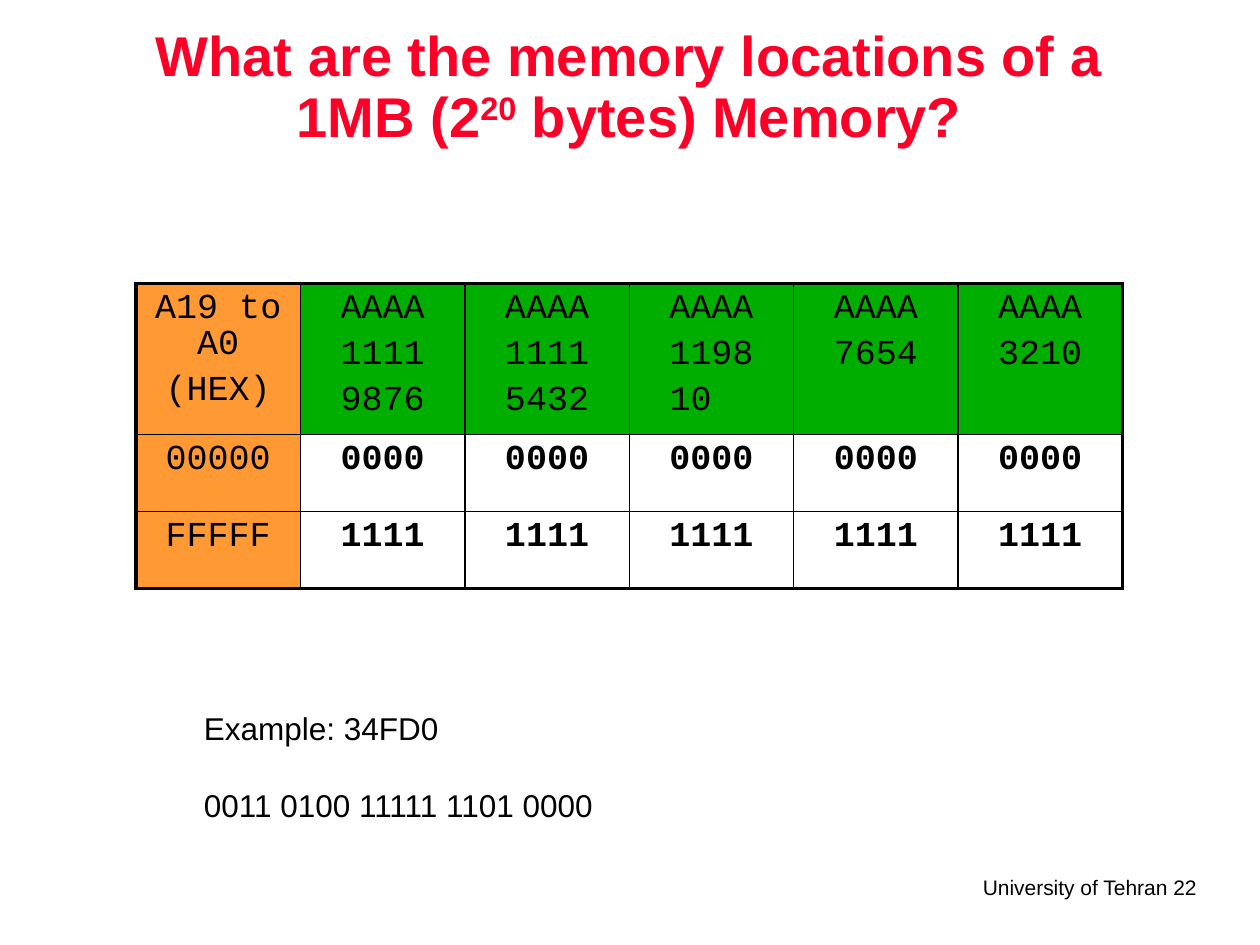
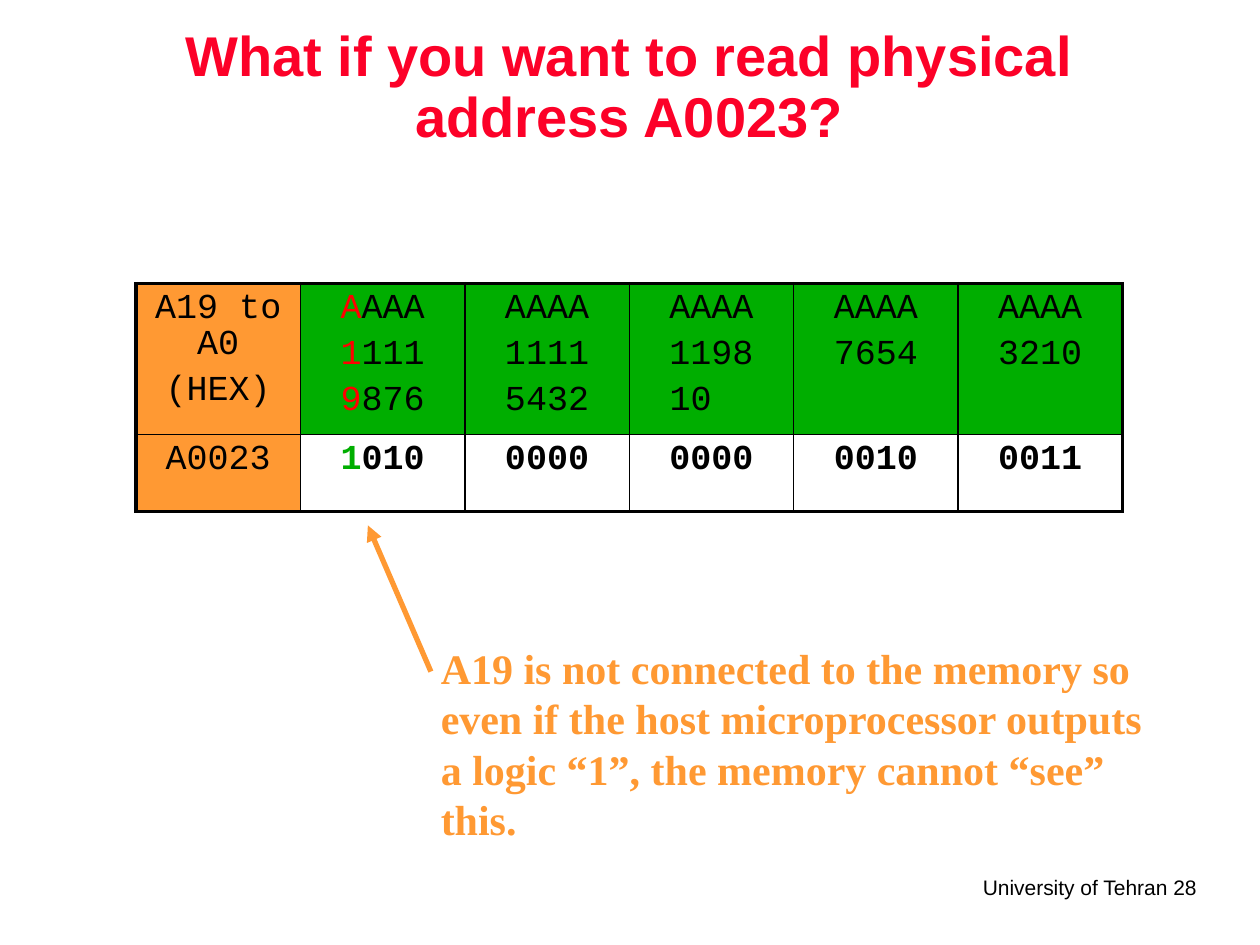
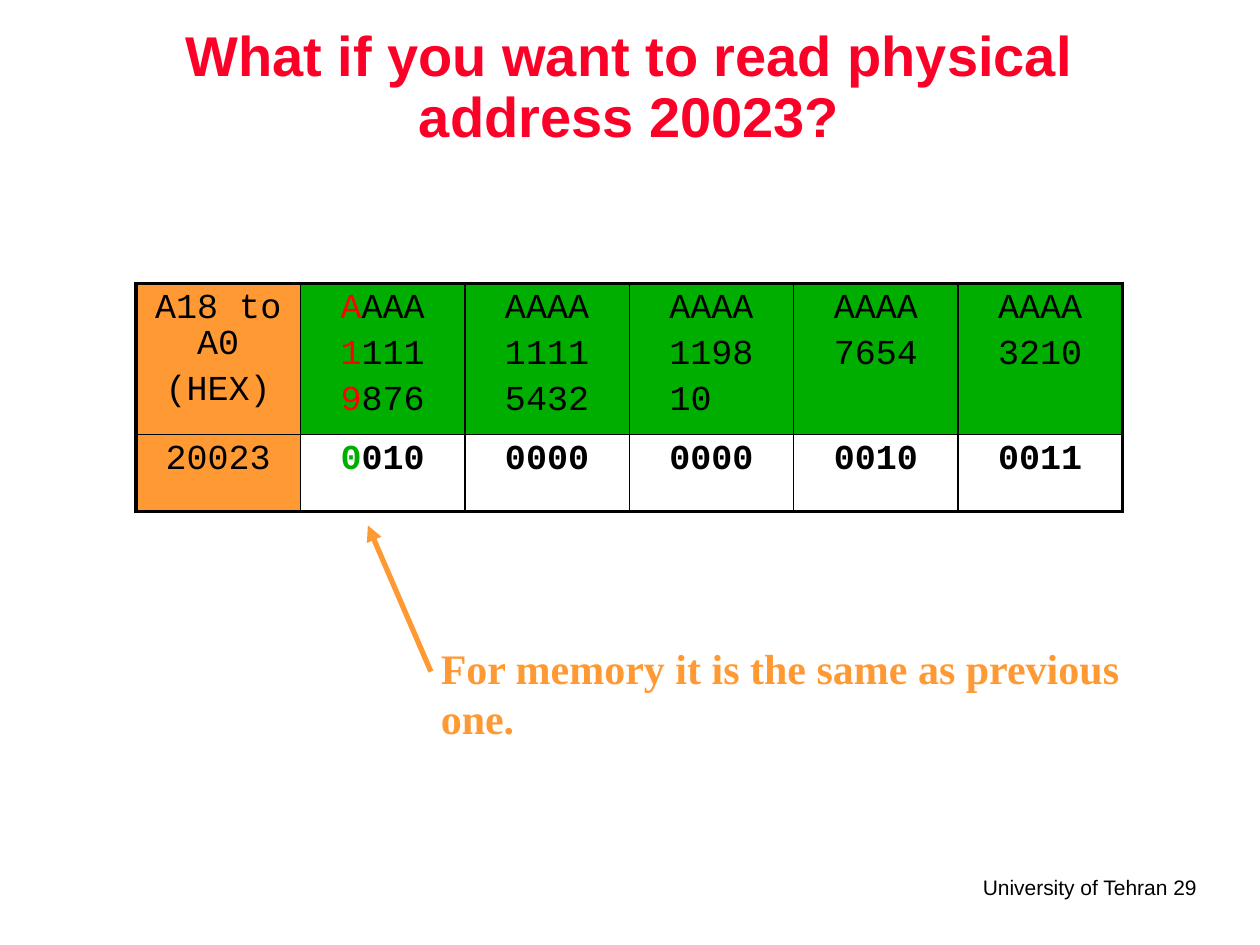
from dataclasses import dataclass

from lxml.etree import SubElement
from pptx import Presentation
from pptx.dml.color import RGBColor
from pptx.enum.shapes import MSO_CONNECTOR
from pptx.enum.text import MSO_ANCHOR, PP_ALIGN
from pptx.oxml.ns import qn
from pptx.slide import Slide
from pptx.table import _Cell
from pptx.text.text import TextFrame, _Paragraph
from pptx.util import Inches, Pt

BLACK = RGBColor(0x00, 0x00, 0x00)
WHITE = RGBColor(0xFF, 0xFF, 0xFF)
CRIMSON = RGBColor(0xFC, 0x01, 0x28)
RED = RGBColor(0xFF, 0x00, 0x00)
GREEN = RGBColor(0x00, 0xAE, 0x00)
ORANGE = RGBColor(0xFF, 0x99, 0x33)

THICK, THIN = Pt(2.25), Pt(1)
BITS = ["AAAA\n1111\n9876", "AAAA\n1111\n5432", "AAAA\n1198\n10", "AAAA\n7654", "AAAA\n3210"]


@dataclass
class Page:
    number: int
    title: list[str]  # every second part is raised
    head: str
    rows: list[list[str]]
    note: str = ""
    mark: bool = False  # colour the A19 bit


PAGES = [
    Page(22, ["What are the memory locations of a 1MB (2", "20", " bytes) Memory?"],
         "A19 to A0\n(HEX)", [["00000"] + ["0000"] * 5, ["FFFFF"] + ["1111"] * 5]),
    Page(28, ["What if you want to read physical address A0023?"], "A19 to A0\n(HEX)",
         [["A0023", "1010", "0000", "0000", "0010", "0011"]],
         "A19 is not connected to the memory so even if the host microprocessor "
         "outputs a logic “1”, the memory cannot “see” this.", True),
    Page(29, ["What if you want to read physical address 20023?"], "A18 to A0\n(HEX)",
         [["20023", "0010", "0000", "0000", "0010", "0011"]],
         "For memory it is the same as previous one.", True),
]


def style(para: _Paragraph, name: str, size: float, color: RGBColor, bold: bool = False) -> None:
    font = para.font
    font.name, font.size, font.bold = name, Pt(size), bold
    font.color.rgb = color


def add_box(slide: Slide, left: float, top: float, width: float, height: float,
            wrap: bool = True) -> TextFrame:
    box = slide.shapes.add_textbox(Inches(left), Inches(top), Inches(width), Inches(height))
    box.text_frame.word_wrap = wrap
    return box.text_frame


def add_title(slide: Slide, parts: list[str]) -> None:
    frame = add_box(slide, 1.08, 0.08, 7.83, 1.25)
    frame.vertical_anchor = MSO_ANCHOR.MIDDLE
    para = frame.paragraphs[0]
    para.alignment, para.line_spacing = PP_ALIGN.CENTER, 0.9
    style(para, "Arial", 32, CRIMSON, True)
    for i, part in enumerate(parts):
        run = para.add_run()
        run.text = part
        if i % 2:
            run.font._element.set("baseline", "30000")


def add_foot(slide: Slide, number: int) -> None:
    para = add_box(slide, 7.66, 6.89, 1.94, 0.3, False).paragraphs[0]
    para.text = f"University of Tehran {number}"
    para.alignment = PP_ALIGN.RIGHT
    style(para, "Arial", 12, BLACK)


def set_edge(cell: _Cell, side: str, width: int) -> None:
    line = SubElement(cell._tc.get_or_add_tcPr(), qn(f"a:{side}"), w=str(width))
    fill = SubElement(line, qn("a:solidFill"))
    SubElement(fill, qn("a:srgbClr"), val=str(BLACK))


def fill_cell(cell: _Cell, text: str, bold: bool, tint: RGBColor | None) -> None:
    """Write the lines of a cell; tint colours the first digit of each."""
    frame = cell.text_frame
    for i, line in enumerate(text.split("\n")):
        para = frame.add_paragraph() if i else frame.paragraphs[0]
        para.alignment, para.line_spacing = PP_ALIGN.CENTER, 0.9
        if i:
            para.space_before = Pt(6)
        if line == "10":  # two digits stay under the first two above
            para.alignment = PP_ALIGN.LEFT
            para._p.get_or_add_pPr().set("marL", str(Inches(0.22)))
        style(para, "Courier New", 20, BLACK, bold)
        for part in ([line[0], line[1:]] if tint else [line]):
            para.add_run().text = part
        if tint:
            para.runs[0].font.color.rgb = tint


def add_grid(slide: Slide, page: Page) -> None:
    rows = [[page.head] + BITS] + page.rows
    last, end = len(rows) - 1, len(BITS)
    high = 1.2 + 0.61 * last
    table = slide.shapes.add_table(last + 1, end + 1, Inches(1.08), Inches(2.25),
                                   Inches(7.83), Inches(high)).table
    for r, row in enumerate(rows):
        table.rows[r].height = Inches(0.61 if r else 1.2)
        for c, text in enumerate(row):
            cell = table.cell(r, c)
            tint = (GREEN if r else RED) if page.mark and c == 1 else None
            fill_cell(cell, text, r > 0 and c > 0, tint)
            # Heavy frame, fine inner lines
            for side, outer in (("lnL", c == 0), ("lnR", c == end),
                                ("lnT", r == 0), ("lnB", r == last)):
                set_edge(cell, side, THICK if outer else THIN)
            cell.fill.solid()
            cell.fill.fore_color.rgb = ORANGE if c == 0 else WHITE if r else GREEN


def add_sample(slide: Slide) -> None:
    frame = add_box(slide, 1.52, 5.58, 3.4, 1, False)
    frame.text = "Example: 34FD0\n0011 0100 11111 1101 0000"
    for para in frame.paragraphs:
        style(para, "Arial", 18, BLACK)
    frame.paragraphs[1].space_before = Pt(22)


def add_note(slide: Slide, text: str) -> None:
    # Arrow up to the A19 bit
    arrow = slide.shapes.add_connector(MSO_CONNECTOR.STRAIGHT, Inches(3.42), Inches(5.33),
                                       Inches(2.92), Inches(4.17))
    arrow.line.color.rgb, arrow.line.width = ORANGE, Pt(3)
    SubElement(arrow.line._get_or_add_ln(), qn("a:tailEnd"), type="triangle")
    SubElement(arrow._element.spPr, qn("a:effectLst"))
    para = add_box(slide, 3.4, 5.05, 5.77, 2.1).paragraphs[0]
    para.text = text
    style(para, "Times New Roman", 24, ORANGE, True)


def main() -> None:
    deck = Presentation()
    deck.slide_width, deck.slide_height = Inches(10), Inches(7.5)
    for page in PAGES:
        slide = deck.slides.add_slide(deck.slide_layouts[6])
        add_foot(slide, page.number)
        add_title(slide, page.title)
        add_grid(slide, page)
        if page.note:
            add_note(slide, page.note)
        else:
            add_sample(slide)
    deck.save("out.pptx")


if __name__ == "__main__":
    main()
